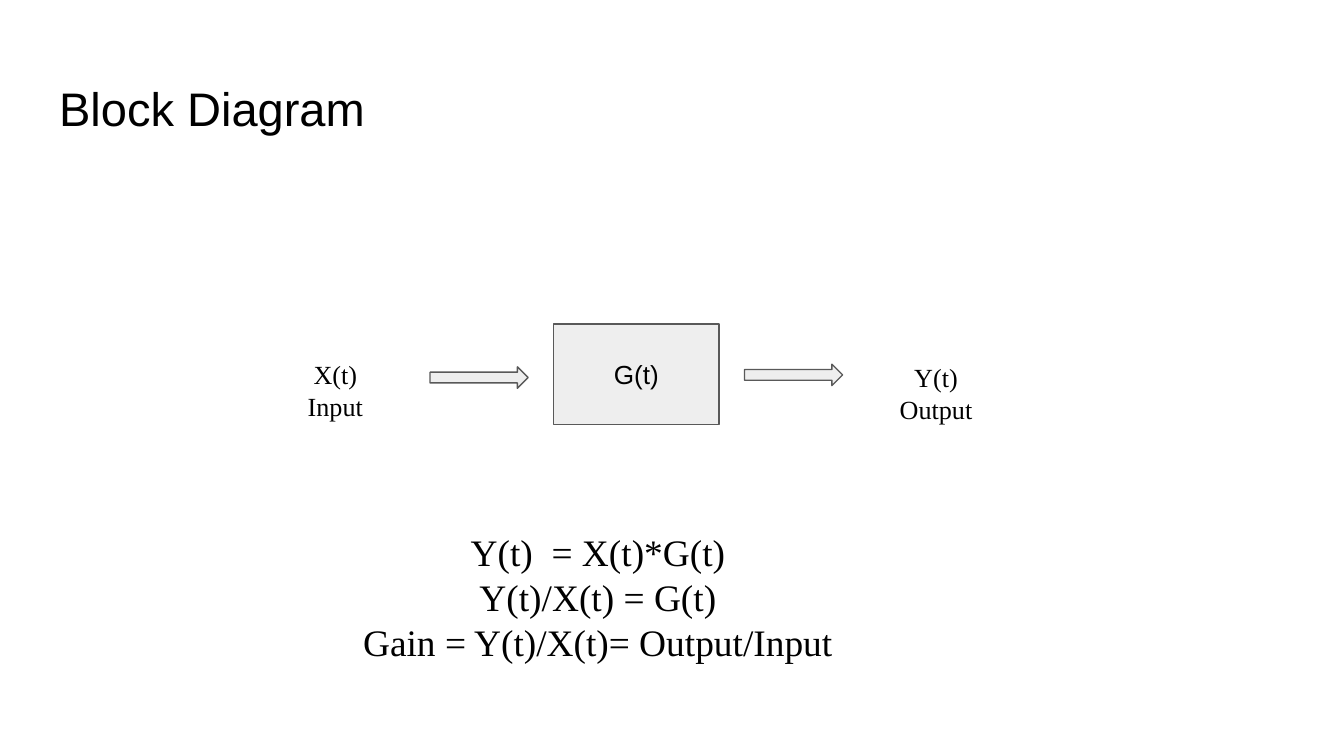
from pptx import Presentation
from pptx.dml.color import RGBColor
from pptx.enum import shapes, text
from pptx.util import Inches, Pt

BLACK = RGBColor(0x00, 0x00, 0x00)
GREY = RGBColor(0x59, 0x59, 0x59)
PALE = RGBColor(0xEE, 0xEE, 0xEE)
SANS, SERIF = "Arial", "Times New Roman"

# Boxes are left, top, width, height in inches
TITLE = ("Block Diagram", (0.34, 0.49, 9.32, 0.63))
BLOCK = ("G(t)", (4.12, 2.41, 1.23, 0.75))
ARROWS = [(3.2, 2.73, 0.73, 0.16), (5.54, 2.71, 0.73, 0.16)]
LABELS = [
    (["X(t)", "Input"], (1.94, 2.57, 1.11, 0.67), 14),
    (["Y(t)", "Output"], (6.41, 2.59, 1.11, 0.67), 14),
    (["Y(t)  = X(t)*G(t)", "Y(t)/X(t) = G(t)", "Gain = Y(t)/X(t)= Output/Input"],
     (2.37, 3.84, 4.16, 1.21), 20),
]


def write(sp, lines, size, font, align=text.PP_ALIGN.CENTER,
          anchor=text.MSO_ANCHOR.TOP):
    tf = sp.text_frame
    tf.word_wrap = True
    tf.auto_size = text.MSO_AUTO_SIZE.NONE
    tf.vertical_anchor = anchor
    tf.margin_left = tf.margin_top = tf.margin_right = tf.margin_bottom = Inches(0.1)
    tf.text = "\n".join(lines)
    for p in tf.paragraphs:
        p.alignment = align
        p.line_spacing = 1.0
        p.font.size = Pt(size)
        p.font.name = font
        p.font.color.rgb = BLACK


def add_outlined(s, kind, box):
    sp = s.shapes.add_shape(kind, *map(Inches, box))
    sp.shadow.inherit = False
    sp.fill.solid()
    sp.fill.fore_color.rgb = PALE
    sp.line.color.rgb = GREY
    sp.line.width = Pt(0.75)
    return sp


prs = Presentation()
prs.slide_width = Inches(10)
prs.slide_height = prs.slide_width * 9 // 16
s = prs.slides.add_slide(prs.slide_layouts.get_by_name("Title Only"))

words, box = TITLE
title = s.shapes.title
title.left, title.top, title.width, title.height = map(Inches, box)
write(title, [words], 25.2, SANS, text.PP_ALIGN.LEFT)

words, box = BLOCK
block = add_outlined(s, shapes.MSO_SHAPE.RECTANGLE, box)
write(block, [words], 14, SANS, anchor=text.MSO_ANCHOR.MIDDLE)

for box in ARROWS:
    add_outlined(s, shapes.MSO_SHAPE.RIGHT_ARROW, box)

for lines, box, size in LABELS:
    write(s.shapes.add_textbox(*map(Inches, box)), lines, size, SERIF)

prs.save("out.pptx")
